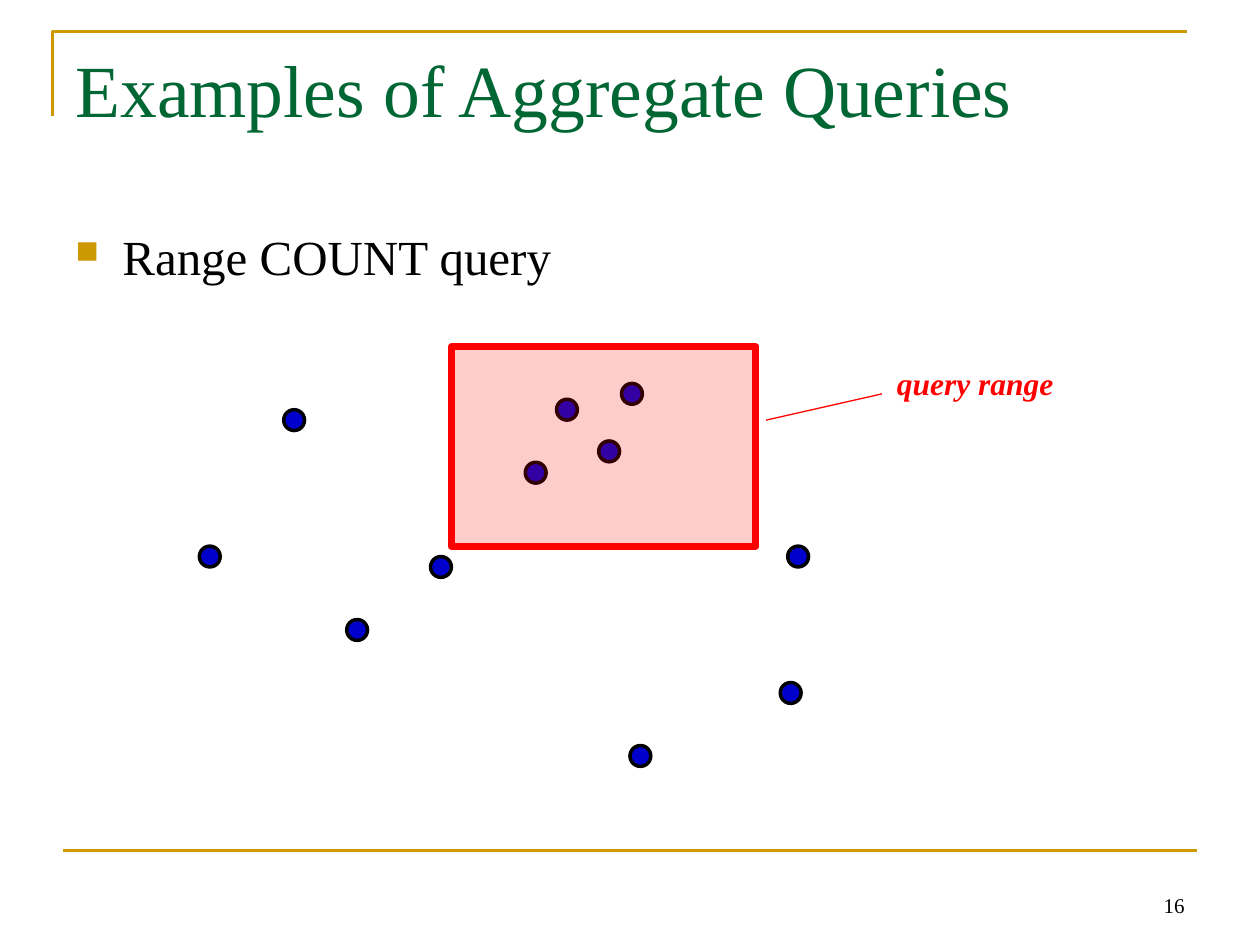
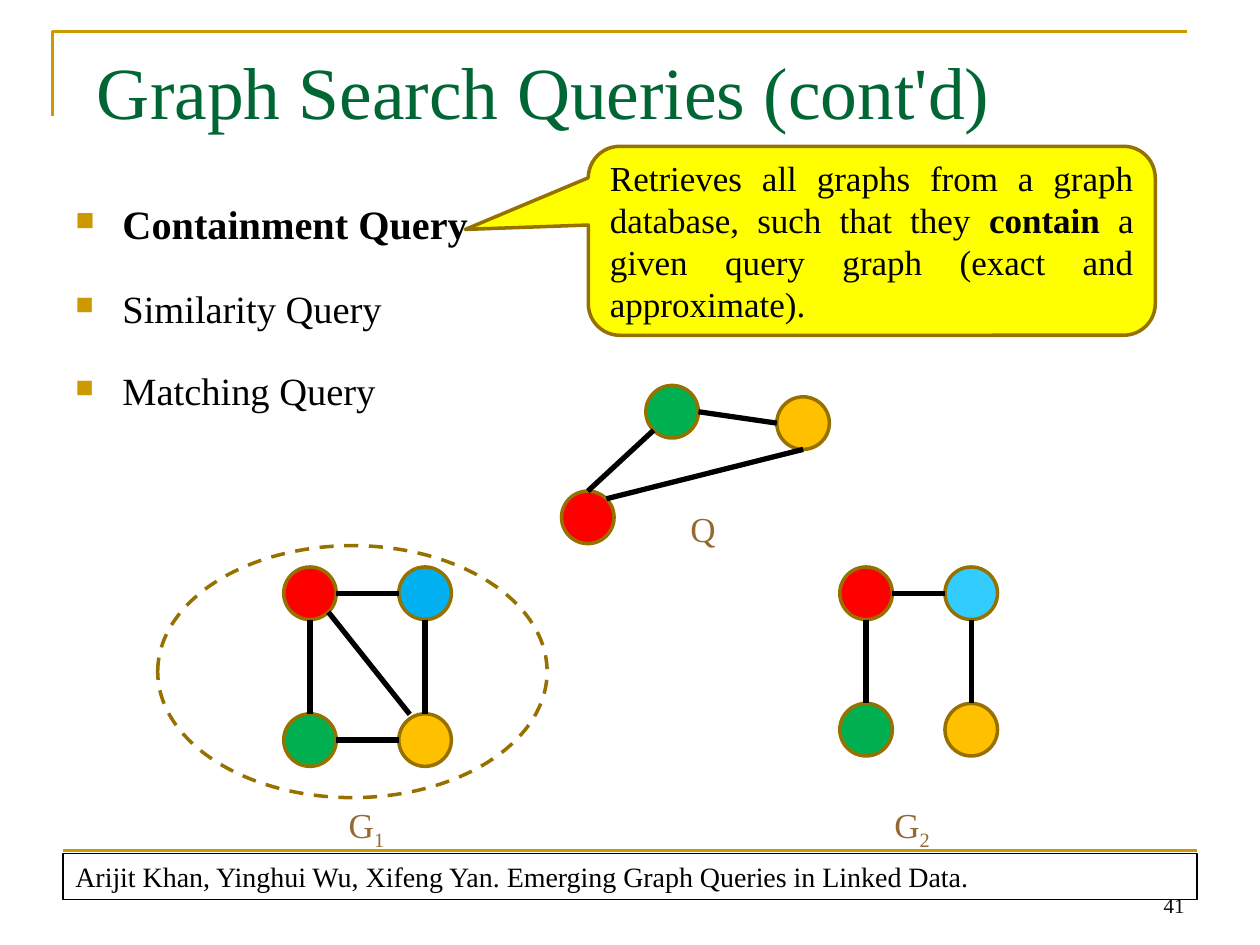
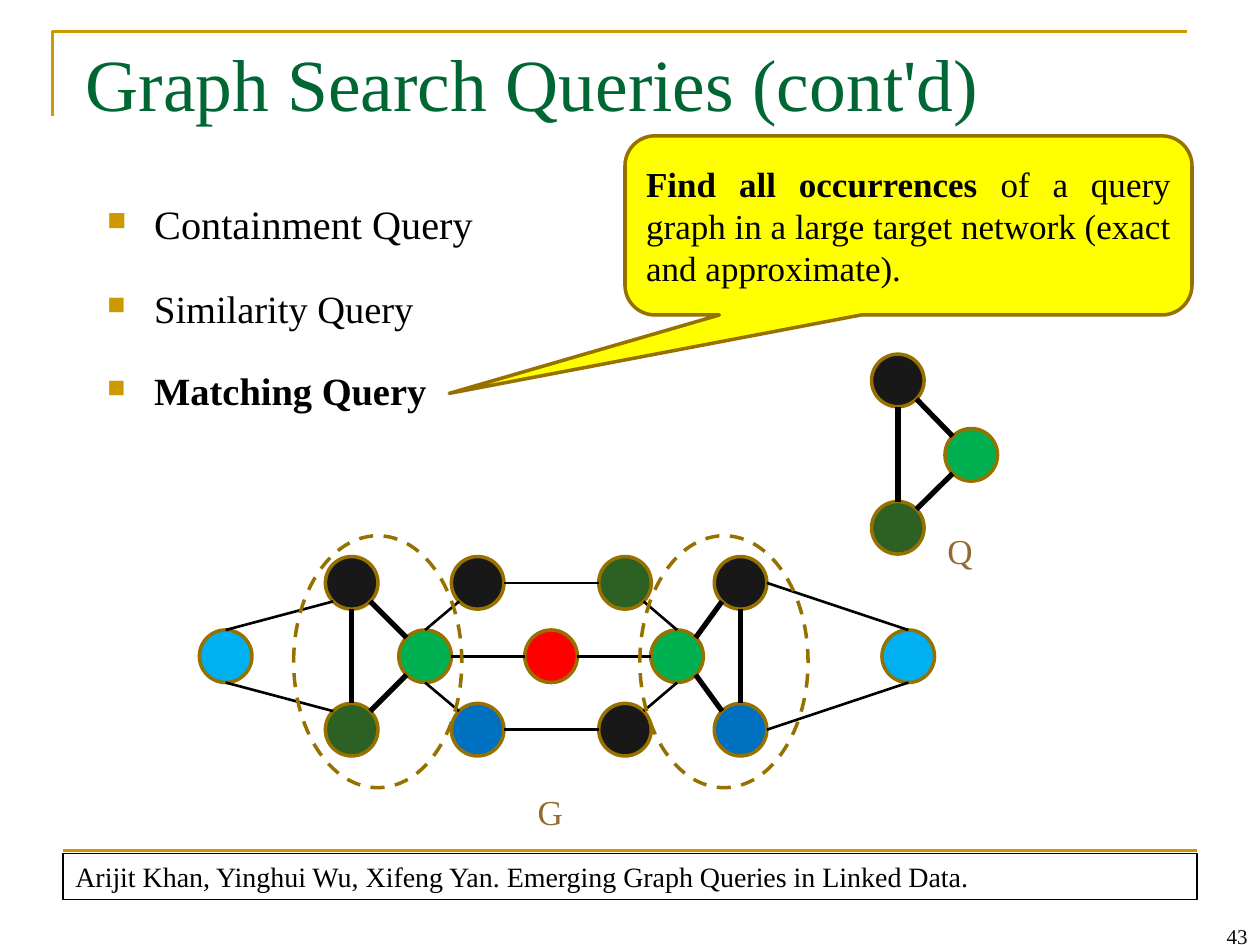
from dataclasses import dataclass
from math import sqrt

from lxml import etree
from pptx import Presentation
from pptx.dml.color import RGBColor
from pptx.enum.dml import MSO_LINE
from pptx.enum.shapes import MSO_CONNECTOR, MSO_SHAPE
from pptx.enum.text import MSO_ANCHOR, MSO_AUTO_SIZE, PP_ALIGN
from pptx.oxml.ns import qn
from pptx.util import Cm, Pt

STRAIGHT = MSO_CONNECTOR.STRAIGHT
OVAL, RECTANGLE = MSO_SHAPE.OVAL, MSO_SHAPE.RECTANGLE
CALLOUT = MSO_SHAPE.ROUNDED_RECTANGULAR_CALLOUT
LEFT, RIGHT, JUSTIFY = PP_ALIGN.LEFT, PP_ALIGN.RIGHT, PP_ALIGN.JUSTIFY
TOP, MIDDLE, BOTTOM = MSO_ANCHOR.TOP, MSO_ANCHOR.MIDDLE, MSO_ANCHOR.BOTTOM
DASH = MSO_LINE.DASH
FIT_SHAPE, NO_FIT = MSO_AUTO_SIZE.SHAPE_TO_FIT_TEXT, MSO_AUTO_SIZE.NONE
TITLE_ONLY = 5

NODE_DIAMETER = 1.06
DOT_DIAMETER = 0.42
DIAGONAL = 1 / sqrt(2)
# Unit vectors from the centre of a node to the points where edges meet it
COMPASS = {
    "n": (0, -1), "e": (1, 0), "s": (0, 1), "w": (-1, 0),
    "ne": (DIAGONAL, -DIAGONAL), "se": (DIAGONAL, DIAGONAL),
    "sw": (-DIAGONAL, DIAGONAL), "nw": (-DIAGONAL, -DIAGONAL),
}


@dataclass(frozen=True)
class Theme:
    font: str = "Times New Roman"
    # Colours
    gold: str = "CC9900"
    title: str = "006633"
    text: str = "000000"
    soft_black: str = "0A0A0A"
    label: str = "946A32"
    outline: str = "977100"
    callout: str = "FFFF00"
    dot: str = "0000CC"
    red: str = "FF0000"
    sky: str = "00B0F0"
    pale_sky: str = "33CCFF"
    blue: str = "0070C0"
    green: str = "00B050"
    dark_green: str = "2C6123"
    amber: str = "FFC000"
    charcoal: str = "181818"
    # Type sizes in points
    title_size: float = 42
    large_size: float = 28
    first_item_size: float = 23
    item_size: float = 22
    diagram_size: float = 20
    note_size: float = 18
    citation_size: float = 16
    number_size: float = 12


THEME = Theme()


def write(paragraph, text, size, color=THEME.text, bold=False, italic=False, subscript=False):
    """Append a formatted run to a paragraph."""
    run = paragraph.add_run()
    run.text = text
    font = run.font
    font.name, font.size = THEME.font, Pt(size)
    font.bold, font.italic = bold, italic
    font.color.rgb = RGBColor.from_string(color)
    if subscript:
        font._element.set("baseline", "-25000")


def add_bullet(paragraph):
    properties = paragraph._p.get_or_add_pPr()
    properties.set("marL", str(Cm(0.95)))
    properties.set("indent", str(-Cm(0.95)))
    color = etree.SubElement(properties, qn("a:buClr"))
    etree.SubElement(color, qn("a:srgbClr"), val=THEME.gold)
    etree.SubElement(properties, qn("a:buSzPct"), val="65000")
    etree.SubElement(properties, qn("a:buChar"), char="■")


class Deck:
    """Holds the presentation, its theme and the slide being built."""

    def __init__(self, theme):
        self.theme = theme
        self.presentation = Presentation()
        self.presentation.slide_width = Cm(25.4)
        self.presentation.slide_height = Cm(19.05)
        self.slide = None

    def new_slide(self, title, title_box, number, number_box=(18.21, 17.35, 5.92, 1.27),
                  number_color=THEME.soft_black):
        layout = self.presentation.slide_layouts[TITLE_ONLY]
        self.slide = self.presentation.slides.add_slide(layout)
        self.frame()
        # Title
        shape = self.slide.shapes.title
        shape.left, shape.top, shape.width, shape.height = map(Cm, title_box)
        frame = shape.text_frame
        frame.auto_size, frame.vertical_anchor = NO_FIT, TOP
        paragraph = frame.paragraphs[0]
        paragraph.alignment = LEFT
        write(paragraph, title, self.theme.title_size, self.theme.title)
        # Slide number
        frame = self.text_box(number_box).text_frame
        frame.vertical_anchor = BOTTOM
        frame.paragraphs[0].alignment = RIGHT
        write(frame.paragraphs[0], number, self.theme.number_size, number_color)

    def frame(self):
        """Gold corner at the top and gold rule at the bottom."""
        builder = self.slide.shapes.build_freeform(Cm(1.06), Cm(2.33))
        builder.add_line_segments([(Cm(1.06), Cm(0.64)), (Cm(23.92), Cm(0.64))], close=False)
        self.style(builder.convert_to_shape(), None, self.theme.gold, 1.5)
        self.line((1.27, 17.15), (24.13, 17.15), self.theme.gold, 1.5)

    def style(self, shape, fill, line, width, dash=None, opacity=None):
        shape.shadow.inherit = False
        if fill:
            shape.fill.solid()
            shape.fill.fore_color.rgb = RGBColor.from_string(fill)
        else:
            shape.fill.background()
        if opacity is not None:
            color = shape._element.spPr.find(qn("a:solidFill"))[0]
            etree.SubElement(color, qn("a:alpha"), val=str(opacity * 1000))
        shape.line.color.rgb = RGBColor.from_string(line)
        shape.line.width = Pt(width)
        if dash:
            shape.line.dash_style = dash

    def shape(self, kind, box, fill, line, width, **options):
        shape = self.slide.shapes.add_shape(kind, *map(Cm, box))
        self.style(shape, fill, line, width, **options)
        return shape

    def circle(self, center, diameter, fill, line):
        x, y = center
        box = (x - diameter / 2, y - diameter / 2, diameter, diameter)
        return self.shape(OVAL, box, fill, line, 2)

    def line(self, start, end, color, width):
        connector = self.slide.shapes.add_connector(STRAIGHT, *map(Cm, (*start, *end)))
        connector.line.color.rgb = RGBColor.from_string(color)
        connector.line.width = Pt(width)
        etree.SubElement(connector._element.spPr, qn("a:effectLst"))

    def text_box(self, box, wrap=True):
        shape = self.slide.shapes.add_textbox(*map(Cm, box))
        shape.text_frame.word_wrap = wrap
        return shape

    def label(self, text, box, subscript="", size=THEME.diagram_size, color=THEME.label, **format):
        frame = self.text_box(box, wrap=False).text_frame
        frame.auto_size = FIT_SHAPE
        paragraph = frame.paragraphs[0]
        write(paragraph, text, size, color, **format)
        if subscript:
            write(paragraph, subscript, size, color, subscript=True)

    def bullets(self, box, items, spacing=None):
        """Items are (text, size, bold)."""
        frame = self.text_box(box).text_frame
        for index, (text, size, bold) in enumerate(items):
            paragraph = frame.add_paragraph() if index else frame.paragraphs[0]
            add_bullet(paragraph)
            paragraph.alignment = JUSTIFY
            if spacing:
                paragraph.line_spacing = spacing
            if index:
                paragraph.space_before = Pt(23.6)
            write(paragraph, text, size, bold=bold)

    def query_types(self, left, current):
        names = ("Containment Query", "Similarity Query", "Matching Query")
        sizes = (self.theme.first_item_size, self.theme.item_size, self.theme.item_size)
        items = [(name, size, name == current) for name, size in zip(names, sizes)]
        self.bullets((left, 4.01, 21.39, 11.23), items, spacing=0.9)

    def callout(self, box, pointer, runs):
        """Runs are (text, bold)."""
        shape = self.shape(CALLOUT, box, self.theme.callout, self.theme.outline, 2)
        for index, value in enumerate((*pointer, 0.167)):
            shape.adjustments[index] = value
        frame = shape.text_frame
        frame.word_wrap, frame.vertical_anchor = True, MIDDLE
        frame.paragraphs[0].alignment = JUSTIFY
        for text, bold in runs:
            write(frame.paragraphs[0], text, self.theme.diagram_size, bold=bold)

    def graph(self, nodes, edges):
        """Nodes map a name to (x, y, colour); edges are (name, side, name, side, width)."""
        for x, y, color in nodes.values():
            self.circle((x, y), NODE_DIAMETER, color, self.theme.outline)

        def meeting_point(name, side):
            return tuple(nodes[name][axis] + COMPASS[side][axis] * NODE_DIAMETER / 2
                         for axis in (0, 1))

        for first, first_side, second, second_side, width in edges:
            self.line(meeting_point(first, first_side), meeting_point(second, second_side),
                      self.theme.text, width)

    def match(self, box):
        self.shape(OVAL, box, None, self.theme.outline, 2, dash=DASH)

    def citation(self, text):
        shape = self.text_box((1.27, 17.2, 22.86, 0.94))
        self.style(shape, None, self.theme.text, 0.75)
        shape.text_frame.auto_size = FIT_SHAPE
        write(shape.text_frame.paragraphs[0], text, self.theme.citation_size)


SEARCH_TITLE = "Graph Search Queries (cont'd)"
CITATION = "Arijit Khan, Yinghui Wu, Xifeng Yan. Emerging Graph Queries in Linked Data."


def aggregate_slide(deck):
    theme = deck.theme
    deck.new_slide("Examples of Aggregate Queries", (1.27, 0.76, 22.86, 3.18), "16",
                   number_color=theme.text)
    deck.bullets((1.27, 4.45, 22.86, 12.57), [("Range COUNT query", theme.large_size, False)])
    # Data points
    points = [(5.93, 8.47), (4.23, 11.22), (11.43, 8.26), (7.2, 12.7), (10.8, 9.53),
              (15.94, 13.97), (16.09, 11.22), (8.89, 11.43), (12.91, 15.24),
              (12.74, 7.94), (12.28, 9.1)]
    for point in points:
        deck.circle(point, DOT_DIAMETER, theme.dot, theme.text)
    # Query range
    deck.shape(RECTANGLE, (9.1, 6.99, 6.14, 4.02), theme.red, theme.red, 4, opacity=20)
    deck.line((15.44, 8.47), (17.78, 7.94), theme.red, 0.75)
    deck.label("query range", (17.83, 7.21, 3.84, 1.02), size=theme.note_size,
               color=theme.red, bold=True, italic=True)


def containment_slide(deck):
    theme = deck.theme
    deck.new_slide(SEARCH_TITLE, (1.7, 0.81, 20.75, 1.9), "41")
    deck.query_types(1.27, "Containment Query")
    deck.callout((11.86, 2.95, 11.43, 3.81), (-0.717, -0.06), [
        ("Retrieves all graphs from a graph database, such that they ", False),
        ("contain", True),
        (" a given query graph (exact and approximate).", False)])
    # Data graphs: the first also has a diagonal
    square = [("red", "s", "green", "n", 3), ("red", "e", "blue", "w", 3),
              ("blue", "s", "amber", "n", 3)]
    for left, right, bottom, blue, extra in (
            (6.25, 8.57, 14.92, theme.sky, [("green", "e", "amber", "w", 3)]),
            (17.46, 19.58, 14.71, theme.pale_sky, [])):
        deck.graph({"red": (left, 11.96, theme.red), "blue": (right, 11.96, blue),
                    "green": (left, bottom, theme.green), "amber": (right, bottom, theme.amber)},
                   square + extra)
    deck.line((6.62, 12.34), (8.26, 14.4), theme.text, 3)
    # Query graph
    deck.graph({"red": (11.85, 10.43, theme.red), "green": (13.55, 8.3, theme.green),
                "amber": (16.19, 8.53, theme.amber)},
               [("green", "sw", "red", "n", 3), ("green", "e", "amber", "w", 3),
                ("amber", "s", "red", "ne", 3)])
    deck.label("G", (6.78, 16.08, 1.27, 1.12), subscript="1")
    deck.label("G", (17.78, 16.08, 1.27, 1.12), subscript="2")
    deck.label("Q", (13.67, 10.11, 1.07, 1.12))
    deck.match((3.18, 11, 7.85, 5.08))
    deck.citation(CITATION)


def matching_slide(deck):
    theme = deck.theme
    deck.new_slide(SEARCH_TITLE, (1.47, 0.64, 20.75, 1.9), "43", (23.7, 17.81, 1.7, 1.45))
    deck.callout((12.6, 2.74, 11.43, 3.61), (-0.81, 0.938), [
        ("Find all occurrences ", True),
        ("of a query graph in a large target network (exact and approximate).", False)])
    # Query graph
    deck.graph({"top": (18.1, 7.67, theme.charcoal), "side": (19.58, 9.17, theme.green),
                "bottom": (18.1, 10.64, theme.dark_green)},
               [("top", "se", "side", "nw", 3), ("side", "sw", "bottom", "ne", 3),
                ("top", "s", "bottom", "n", 3)])
    # Target network in three rows
    high, middle, low = 11.75, 13.23, 14.71
    nodes = {
        "far left": (4.55, middle, theme.sky),
        "left top": (7.09, high, theme.charcoal),
        "left bottom": (7.09, low, theme.dark_green),
        "left hub": (8.57, middle, theme.green),
        "inner left top": (9.63, high, theme.charcoal),
        "inner left bottom": (9.63, low, theme.blue),
        "center": (11.11, middle, theme.red),
        "inner right top": (12.6, high, theme.dark_green),
        "inner right bottom": (12.6, low, theme.charcoal),
        "right hub": (13.65, middle, theme.green),
        "right top": (14.93, high, theme.charcoal),
        "right bottom": (14.93, low, theme.blue),
        "far right": (18.31, middle, theme.sky),
    }
    edges = [("left hub", "e", "center", "w", 1.5), ("center", "e", "right hub", "w", 1.5)]
    for row in ("top", "bottom"):
        edges.append((f"inner left {row}", "e", f"inner right {row}", "w", 1.5))
    # Each half: side facing the hub, side facing outwards, side where the far node is met
    for half, inward, outward, far_sides in (("left", "e", "w", ("sw", "nw")),
                                             ("right", "w", "e", ("e", "e"))):
        hub, far = f"{half} hub", f"far {half}"
        edges.append((f"{half} top", "s", f"{half} bottom", "n", 3))
        for row, up, down, far_side in (("top", "n", "s", far_sides[0]),
                                        ("bottom", "s", "n", far_sides[1])):
            edges += [(f"{half} {row}", down + inward, hub, up + outward, 3),
                      (f"inner {half} {row}", down + outward, hub, up, 1.5),
                      (f"{half} {row}", far_side, far, up, 1.5)]
    deck.graph(nodes, edges)
    deck.label("G", (10.59, 15.82, 1.07, 1.12))
    deck.label("Q", (18.85, 10.54, 1.07, 1.12))
    # Occurrences of the query graph
    for left in (5.92, 12.9):
        deck.match((left, 10.8, 3.39, 5.08))
    deck.query_types(1.91, "Matching Query")
    deck.citation(CITATION)


def main():
    deck = Deck(THEME)
    aggregate_slide(deck)
    containment_slide(deck)
    matching_slide(deck)
    deck.presentation.save("out.pptx")


if __name__ == "__main__":
    main()
